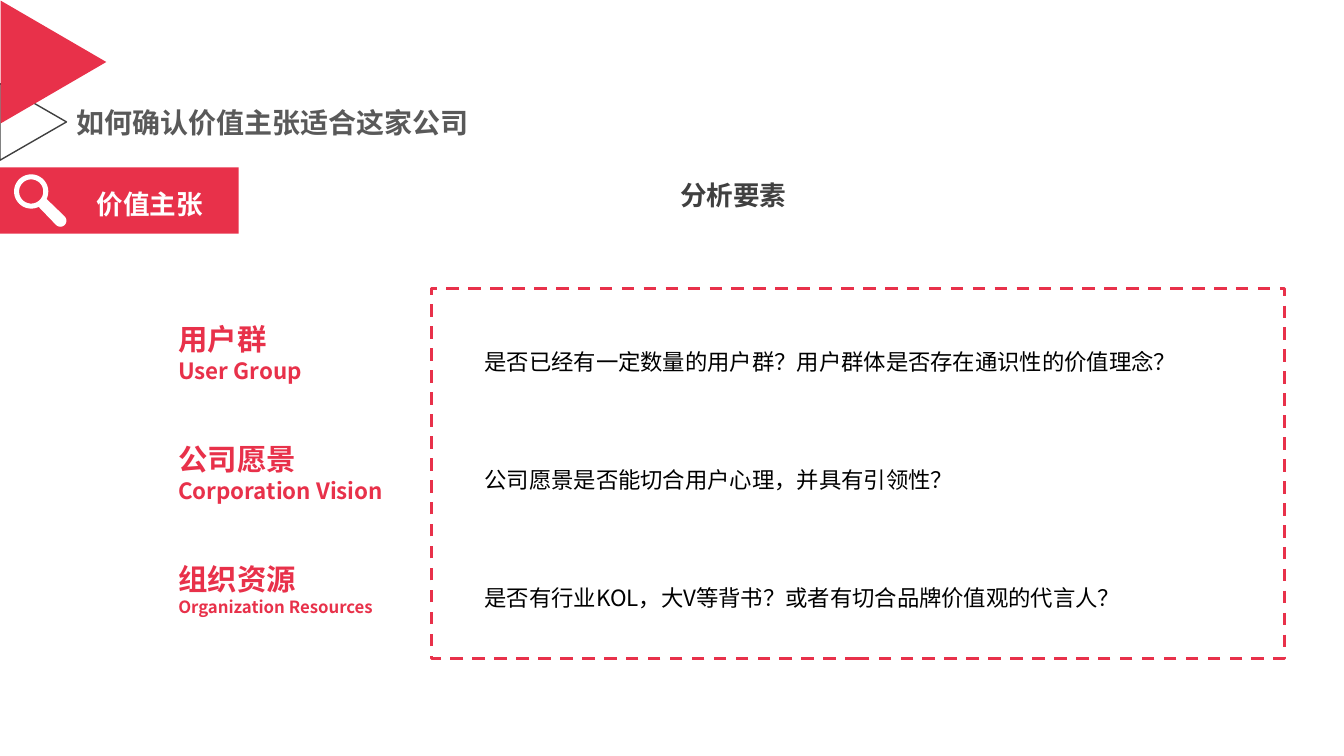
from math import cos, radians, sin

from lxml.etree import SubElement
from pptx import Presentation
from pptx.dml.color import RGBColor
from pptx.enum.dml import MSO_LINE
from pptx.enum.shapes import MSO_SHAPE
from pptx.enum.text import MSO_ANCHOR, MSO_AUTO_SIZE, PP_ALIGN
from pptx.oxml.ns import qn
from pptx.util import Inches, Pt

RED = RGBColor(0xE8, 0x31, 0x4A)
WHITE = RGBColor(0xFF, 0xFF, 0xFF)
BLACK = RGBColor(0, 0, 0)
DARK = RGBColor(0x40, 0x40, 0x40)
GREY = RGBColor(0x59, 0x59, 0x59)
CJK_FONT = "Noto Sans CJK SC"

FACTORS = [
    ("用户群", "User Group", 16,
     "是否已经有一定数量的用户群？用户群体是否存在通识性的价值理念？"),
    ("公司愿景", "Corporation Vision", 16,
     "公司愿景是否能切合用户心理，并具有引领性？"),
    ("组织资源", "Organization Resources", 12,
     "是否有行业KOL，大V等背书？或者有切合品牌价值观的代言人？"),
]


def style_paragraph(paragraph, size, color, bold=True, font=CJK_FONT):
    paragraph.font.size = Pt(size)
    paragraph.font.bold = bold
    paragraph.font.color.rgb = color
    paragraph.font.name = font
    defaults = paragraph._p.pPr.find(qn("a:defRPr"))
    SubElement(defaults, qn("a:ea")).set("typeface", font)


def set_insets(frame, side, end):
    frame.margin_left = frame.margin_right = Inches(side)
    frame.margin_top = frame.margin_bottom = Inches(end)


def place(shape, left, top, width, height):
    shape.left, shape.top = Inches(left), Inches(top)
    shape.width, shape.height = Inches(width), Inches(height)


def fill_placeholder(holder, box, text, size, color, align, insets):
    place(holder, *box)
    frame = holder.text_frame
    frame.text = text
    frame.word_wrap = True
    frame.auto_size = MSO_AUTO_SIZE.NONE
    frame.vertical_anchor = MSO_ANCHOR.MIDDLE
    set_insets(frame, *insets)
    paragraph = frame.paragraphs[0]
    properties = paragraph._p.get_or_add_pPr()
    properties.set("marL", "0")
    properties.set("indent", "0")
    SubElement(properties, qn("a:buNone"))
    paragraph.alignment = align
    paragraph.line_spacing = 0.9
    paragraph.space_before = Pt(0)
    style_paragraph(paragraph, size, color)


def add_text(slide, box, lines, color, bold=True, font=CJK_FONT, spacing=1.0):
    frame = slide.shapes.add_textbox(*map(Inches, box)).text_frame
    frame.word_wrap = True
    set_insets(frame, 0.13, 0.07)
    frame.text = "\n".join(text for text, _ in lines)
    for paragraph, (_, size) in zip(frame.paragraphs, lines):
        paragraph.line_spacing = spacing
        style_paragraph(paragraph, size, color, bold, font)


def paint(shape, fill=None, line=None, width=1):
    shape.shadow.inherit = False
    if fill is None:
        shape.fill.background()
    else:
        shape.fill.solid()
        shape.fill.fore_color.rgb = fill
    if line is None:
        shape.line.fill.background()
    else:
        shape.line.color.rgb = line
        shape.line.width = Pt(width)


def add_preset(slide, kind, box, rotation=0, **colors):
    shape = slide.shapes.add_shape(kind, *map(Inches, box))
    shape.rotation = rotation
    paint(shape, **colors)
    return shape


def arc(x, y, radius, start, end, step):
    return [(Inches(x + radius * cos(radians(angle))),
             Inches(y + radius * sin(radians(angle))))
            for angle in range(start, end, step)]


def add_magnifier(slide):
    lens = (0.31, 1.9)
    outline = arc(*lens, 0.17, 64, 387, 7) + arc(0.6, 2.19, 0.06, -45, 136, 15)
    hole = arc(*lens, 0.12, 360, 0, -8)
    builder = slide.shapes.build_freeform(*outline[0])
    builder.add_line_segments(outline[1:], close=True)
    builder.move_to(*hole[0])
    builder.add_line_segments(hole[1:], close=True)
    paint(builder.convert_to_shape(), fill=WHITE)


def add_factor(slide, row, name, english, english_size, question):
    add_text(slide, (1.64, 3.12 + 1.19 * row, 2.5, 0.76),
             [(name, 21), (english, english_size)], RED)
    add_text(slide, (4.68, 3.25 + 1.17 * row, 7.8, 0.54),
             [(question, 16)], BLACK, bold=False, spacing=1.5)


def main():
    deck = Presentation()
    deck.slide_width, deck.slide_height = Inches(13.34), Inches(7.5)
    slide = deck.slides.add_slide(deck.slide_layouts[1])

    add_preset(slide, MSO_SHAPE.ISOSCELES_TRIANGLE, (-0.05, 0.88, 0.76, 0.66),
               rotation=90, line=DARK)
    add_preset(slide, MSO_SHAPE.ISOSCELES_TRIANGLE, (-0.08, 0.09, 1.22, 1.05),
               rotation=90, fill=RED)
    fill_placeholder(slide.shapes.title, (0.71, 1.03, 4.5, 0.41),
                     "如何确认价值主张适合这家公司", 20, GREY,
                     PP_ALIGN.LEFT, (0.05, 0.05))
    fill_placeholder(slide.placeholders[1], (2.37, 1.61, 9.82, 0.68),
                     "分析要素", 19, DARK, PP_ALIGN.CENTER, (0.13, 0.07))

    add_preset(slide, MSO_SHAPE.RECTANGLE, (0, 1.66, 2.37, 0.66), fill=RED)
    add_text(slide, (0.83, 1.79, 1.5, 0.45), [("价值主张", 19)], WHITE, font="Lato")
    add_magnifier(slide)

    frame = add_preset(slide, MSO_SHAPE.RECTANGLE, (4.28, 2.86, 8.47, 3.67),
                       line=RED, width=2.25)
    frame.line.dash_style = MSO_LINE.DASH
    for row, factor in enumerate(FACTORS):
        add_factor(slide, row, *factor)

    deck.save("out.pptx")


if __name__ == "__main__":
    main()
